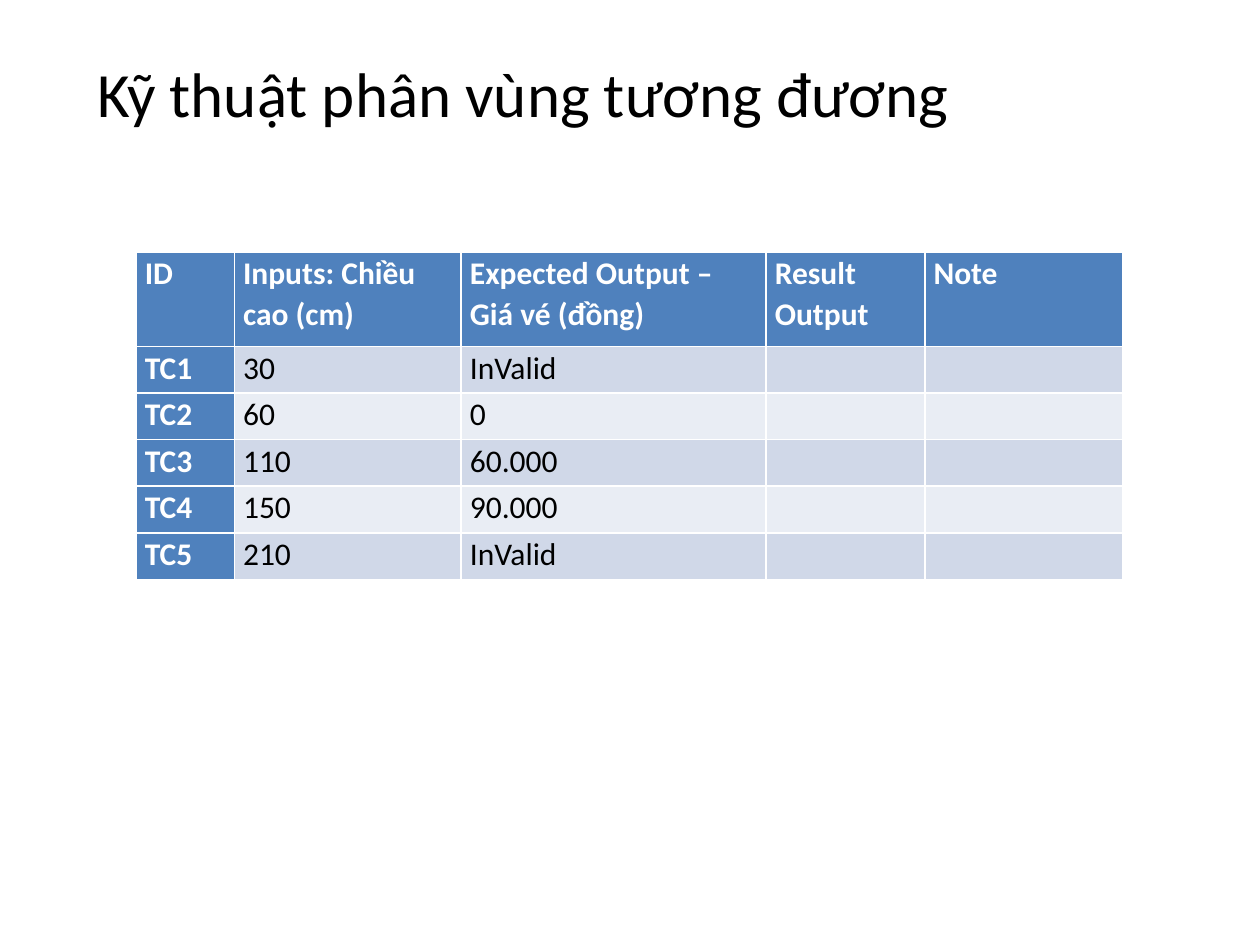
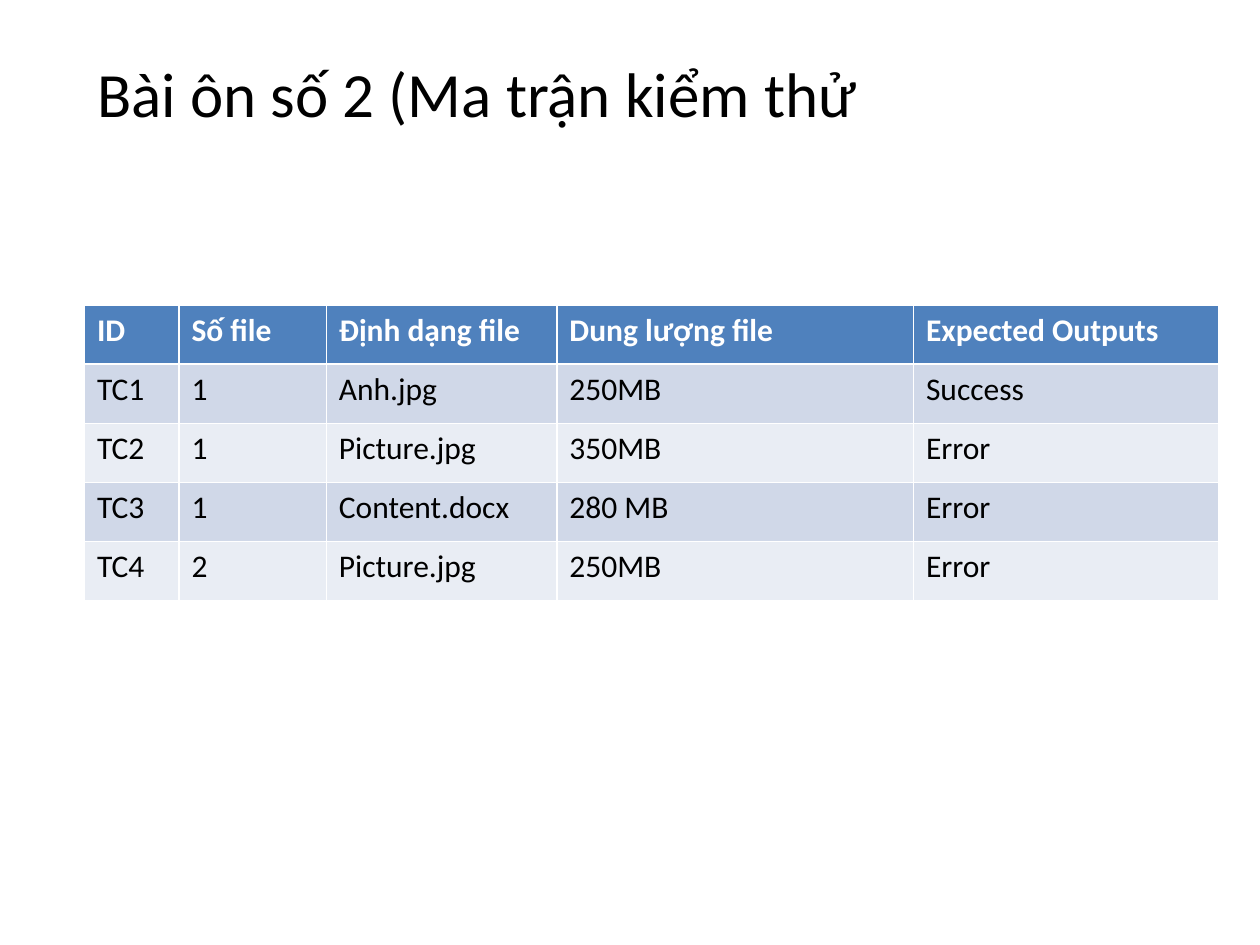
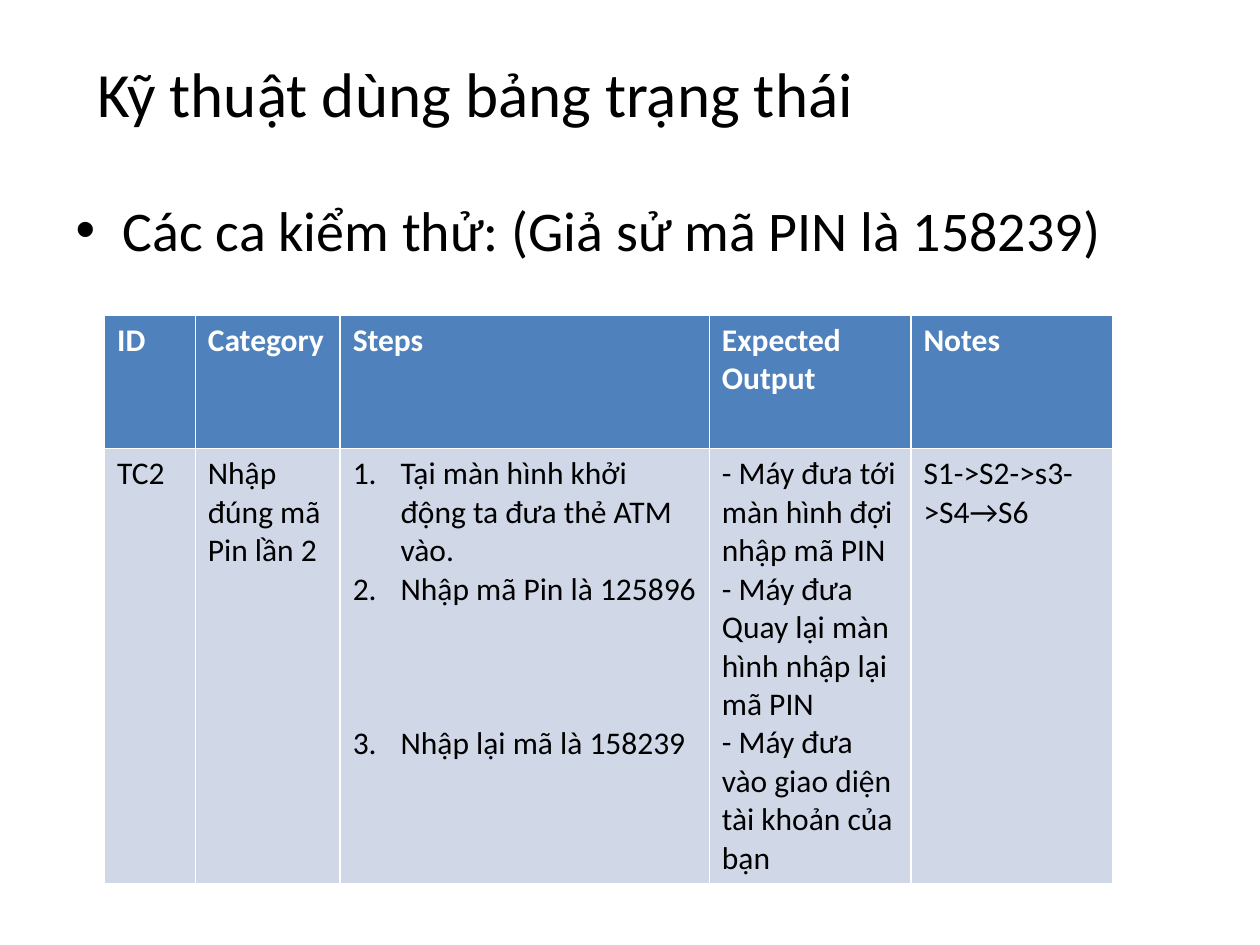
from dataclasses import dataclass

from lxml import etree
from pptx import Presentation
from pptx.dml.color import RGBColor
from pptx.enum.text import MSO_ANCHOR, PP_ALIGN
from pptx.oxml.ns import qn
from pptx.slide import Slide
from pptx.table import _Cell
from pptx.util import Inches, Pt

FONT = "Calibri"
BLACK = RGBColor(0x00, 0x00, 0x00)
WHITE = RGBColor(0xFF, 0xFF, 0xFF)
HEADER_BLUE = RGBColor(0x4F, 0x81, 0xBD)
BAND_FILLS = (RGBColor(0xD0, 0xD8, 0xE8), RGBColor(0xE9, 0xED, 0xF4))

CONTENT_LAYOUT = 1
TITLE_ONLY_LAYOUT = 5


@dataclass(frozen=True)
class TestTable:
    """A table of test cases; lengths are in inches."""
    left: float
    top: float
    columns: tuple[float, ...]
    rows: tuple[float, ...]
    texts: tuple[tuple[str, ...], ...]
    compact: bool = False
    header_column: bool = False


TICKET_TABLE = TestTable(
    left=1.08, top=2, columns=(0.78, 1.8, 2.42, 1.26, 1.57), rows=(0.75,) + (0.37,) * 5,
    texts=(
        ("ID", "Inputs: Chiều cao (cm)", "Expected Output – Giá vé (đồng)", "Result Output", "Note"),
        ("TC1", "30", "InValid", "", ""),
        ("TC2", "60", "0", "", ""),
        ("TC3", "110", "60.000", "", ""),
        ("TC4", "150", "90.000", "", ""),
        ("TC5", "210", "InValid", "", ""),
    ),
    compact=True, header_column=True,
)

FILE_TABLE = TestTable(
    left=0.67, top=2.42, columns=(0.75, 1.17, 1.83, 2.83, 2.42), rows=(0.47,) * 5,
    texts=(
        ("ID", "Số file", "Định dạng file", "Dung lượng file", "Expected Outputs"),
        ("TC1", "1", "Anh.jpg", "250MB", "Success"),
        ("TC2", "1", "Picture.jpg", "350MB", "Error"),
        ("TC3", "1", "Content.docx", "280 MB", "Error"),
        ("TC4", "2", "Picture.jpg", "250MB", "Error"),
    ),
)

STATE_TABLE = TestTable(
    left=0.83, top=2.5, columns=(0.72, 1.15, 2.93, 1.6, 1.6), rows=(1.06, 3.4),
    texts=(
        ("ID", "Category", "Steps", "Expected Output", "Notes"),
        (
            "TC2",
            "Nhập đúng mã Pin lần 2",
            "Tại màn hình khởi động ta đưa thẻ ATM vào.\nNhập mã Pin là 125896\nNhập lại mã là 158239",
            "- Máy đưa tới màn hình đợi nhập mã PIN\n"
            "- Máy đưa Quay lại màn hình nhập lại mã PIN\n"
            "- Máy đưa vào giao diện tài khoản của bạn",
            "S1->S2->s3->S4→S6",
        ),
    ),
)


def style_paragraph(paragraph, size: float, color: RGBColor, bold: bool = False) -> None:
    paragraph.font.name = FONT
    paragraph.font.size = Pt(size)
    paragraph.font.color.rgb = color
    paragraph.font.bold = bold


def place(shape, left: float, top: float, width: float, height: float) -> None:
    shape.left, shape.top = Inches(left), Inches(top)
    shape.width, shape.height = Inches(width), Inches(height)


def add_titled_slide(presentation, title: str, layout: int = TITLE_ONLY_LAYOUT) -> Slide:
    slide = presentation.slides.add_slide(presentation.slide_layouts[layout])
    shape = slide.shapes.title
    place(shape, 0.67, 0.3, 8.83, 0.87)
    shape.text_frame.text = title
    shape.text_frame.vertical_anchor = MSO_ANCHOR.MIDDLE
    paragraph = shape.text_frame.paragraphs[0]
    paragraph.alignment = PP_ALIGN.LEFT
    style_paragraph(paragraph, 36, BLACK)
    return slide


def fill_cell(cell: _Cell, text: str, fill: RGBColor, is_header: bool, compact: bool) -> None:
    cell.fill.solid()
    cell.fill.fore_color.rgb = fill
    cell.text_frame.text = text
    if compact:
        cell.margin_left = cell.margin_right = Inches(0.07)
        cell.margin_top = cell.margin_bottom = 0
    for paragraph in cell.text_frame.paragraphs:
        style_paragraph(paragraph, 18, WHITE if is_header else BLACK, is_header)
        if compact:
            paragraph.line_spacing = 1.07


def add_test_table(slide: Slide, content: TestTable):
    frame = slide.shapes.add_table(
        len(content.rows), len(content.columns), Inches(content.left), Inches(content.top),
        Inches(sum(content.columns)), Inches(sum(content.rows)))
    table = frame.table
    table.first_col = content.header_column
    for column, width in zip(table.columns, content.columns):
        column.width = Inches(width)
    for row, height in zip(table.rows, content.rows):
        row.height = Inches(height)
    for row_index, texts in enumerate(content.texts):
        for column_index, text in enumerate(texts):
            is_header = row_index == 0 or (content.header_column and column_index == 0)
            fill = HEADER_BLUE if is_header else BAND_FILLS[(row_index - 1) % 2]
            fill_cell(table.cell(row_index, column_index), text, fill, is_header, content.compact)
    return table


def number_paragraphs(cell: _Cell) -> None:
    for paragraph in cell.text_frame.paragraphs:
        properties = paragraph._p.get_or_add_pPr()
        properties.set("marL", str(Inches(0.38)))
        properties.set("indent", str(-Inches(0.38)))
        numbering = etree.Element(qn("a:buAutoNum"), type="arabicPeriod")
        properties.find(qn("a:defRPr")).addprevious(numbering)


def main() -> None:
    presentation = Presentation()
    presentation.slide_width, presentation.slide_height = Inches(10), Inches(7.5)

    add_test_table(add_titled_slide(presentation, "Kỹ thuật phân vùng tương đương"), TICKET_TABLE)
    add_test_table(add_titled_slide(presentation, "Bài ôn số 2 (Ma trận kiểm thử"), FILE_TABLE)

    state_slide = add_titled_slide(presentation, "Kỹ thuật dùng bảng trạng thái", CONTENT_LAYOUT)
    body = state_slide.placeholders[1]
    place(body, 0.5, 1.5, 9, 5.2)
    body.text_frame.text = "Các ca kiểm thử: (Giả sử mã PIN là 158239)"
    style_paragraph(body.text_frame.paragraphs[0], 32, BLACK)
    steps = add_test_table(state_slide, STATE_TABLE).cell(1, 2)
    number_paragraphs(steps)
    # The last step lines up with its expected output, three lines further down.
    steps.text_frame.paragraphs[-1].space_before = Pt(66)

    presentation.save("out.pptx")


if __name__ == "__main__":
    main()
